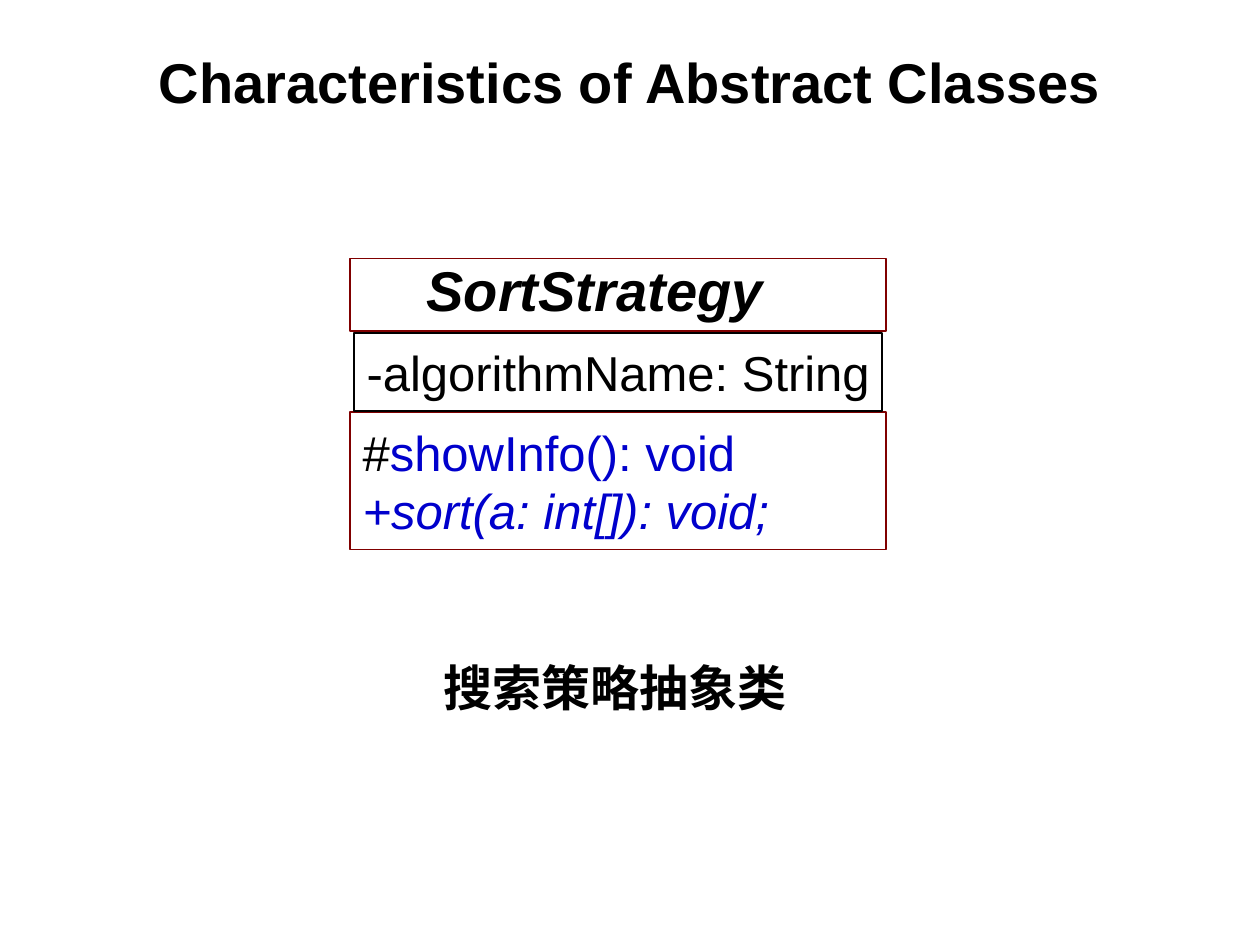
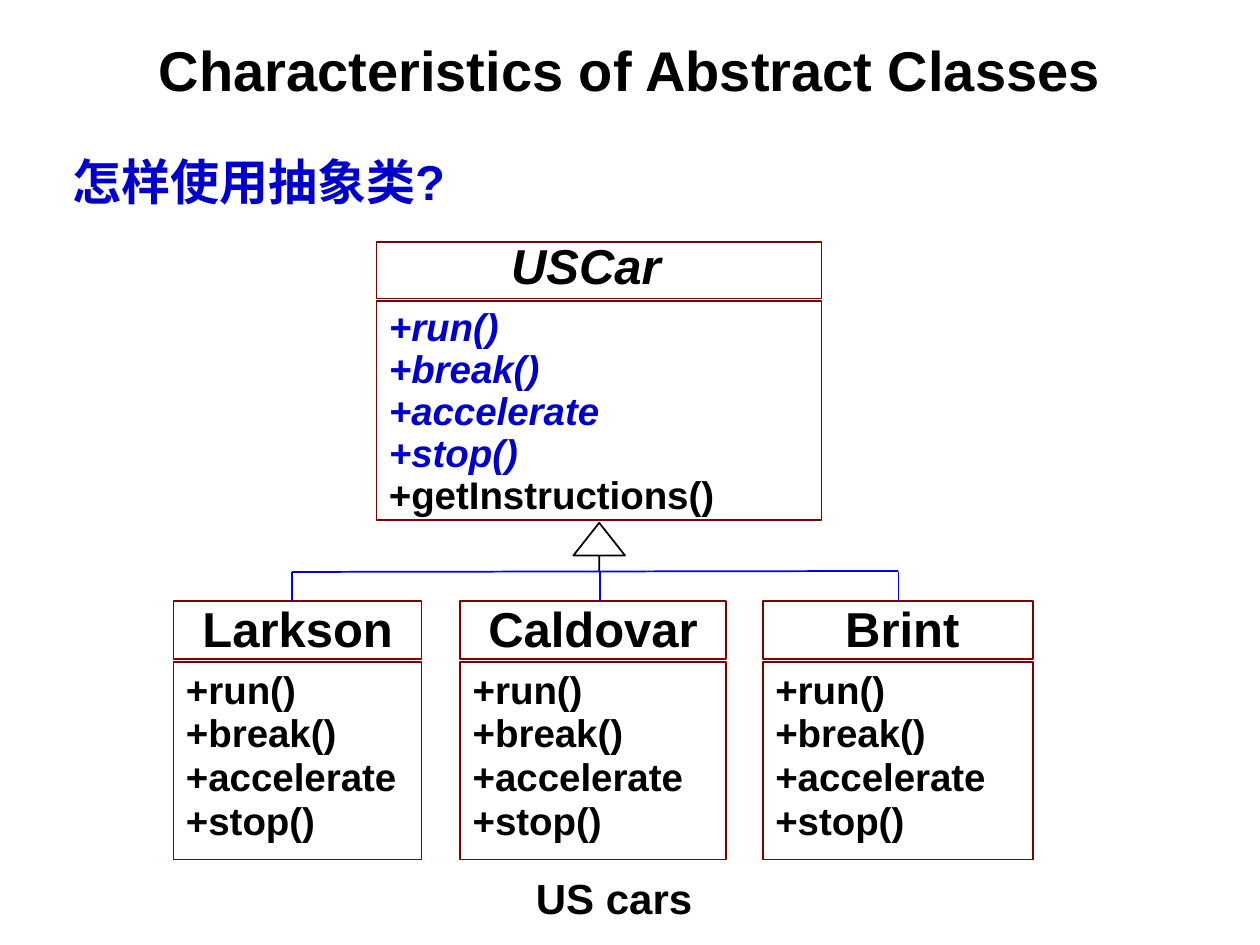
from lxml import etree
from pptx import Presentation
from pptx.dml.color import RGBColor
from pptx.enum.shapes import MSO_CONNECTOR, MSO_SHAPE
from pptx.enum.text import MSO_ANCHOR, PP_ALIGN
from pptx.oxml.ns import qn
from pptx.util import Cm, Pt

COLORS = {"black": "000000", "white": "FFFFFF", "maroon": "800000",
          "blue": "0000CC", "link": "0000FF"}
LATIN, CJK = "Arial", "Noto Sans CJK SC"
TITLE = "Characteristics of Abstract Classes"
CENTER, MIDDLE = PP_ALIGN.CENTER, MSO_ANCHOR.MIDDLE


def rgb(name):
    return RGBColor.from_string(COLORS[name])


def add_box(s, at, lines, size, line=None, bold=True, align=PP_ALIGN.LEFT,
            anchor=MSO_ANCHOR.TOP, spacing=None, wrap=True,
            insets=(0.25, 0.13, 0.25, 0.13), latin=LATIN):
    at = [Cm(v) for v in at]
    if line:
        sp = s.shapes.add_shape(MSO_SHAPE.RECTANGLE, *at)
        sp.shadow.inherit = False
        sp.fill.solid()
        sp.fill.fore_color.rgb = rgb("white")
        sp.line.color.rgb = rgb(line)
        sp.line.width = Pt(1)
    else:
        sp = s.shapes.add_textbox(*at)
    tf = sp.text_frame
    tf.word_wrap = wrap
    tf.vertical_anchor = anchor
    tf.margin_left, tf.margin_top, tf.margin_right, tf.margin_bottom = map(Cm, insets)
    for i, runs in enumerate(lines):
        p = tf.add_paragraph() if i else tf.paragraphs[0]
        p.alignment = align
        if spacing:
            p.line_spacing = spacing
        for text, color, italic in runs:
            r = p.add_run()
            r.text = text
            r.font.size = Pt(size)
            r.font.name = latin
            r.font.bold = bold
            r.font.italic = italic
            r.font.color.rgb = rgb(color)
            etree.SubElement(r.font._element, qn("a:ea")).set("typeface", CJK)


prs = Presentation()
prs.slide_width, prs.slide_height = Cm(25.4), Cm(19.05)
slides = []
for title_top in (0.76, 0.51):
    s = prs.slides.add_slide(prs.slide_layouts[6])
    add_box(s, (1.27, title_top, 22.86, 1.75), [[(TITLE, "black", False)]], 32,
            align=CENTER, anchor=MIDDLE)
    slides.append(s)
strategy, cars = slides

pad = (0.25, 0.2, 0.25, 0.2)
add_box(strategy, (7.06, 5.21, 10.8, 1.47), [[("SortStrategy", "black", True)]], 32,
        "maroon", align=CENTER, spacing=0.8, insets=(0.25, 0.2, 1.19, 0.2))
add_box(strategy, (7.06, 8.31, 10.8, 2.77),
        [[("#", "black", False), ("showInfo(): void", "blue", False)],
         [("+sort(a: int[]): void;", "blue", True)]],
        28, "maroon", bold=False, insets=pad)
add_box(strategy, (7.14, 6.71, 10.64, 1.57), [[("-algorithmName: String", "black", False)]],
        28, "black", bold=False, anchor=MIDDLE, wrap=False, insets=pad)
add_box(strategy, (7.9, 13.13, 8.99, 1.45), [[("搜索策略抽象类", "black", False)]], 28,
        align=CENTER, latin=CJK)

add_box(cars, (1.09, 3.15, 8.26, 1.22), [[("怎样使用抽象类?", "blue", False)]], 28,
        align=CENTER, spacing=0.8, wrap=False)

methods = ["+run()", "+break()", "+accelerate", "+stop()"]
add_box(cars, (7.59, 4.88, 8.97, 1.14), [[("USCar", "black", True)]], 28, "maroon",
        align=CENTER, spacing=0.8, insets=(0.1, 0.1, 0.63, 0.1))
add_box(cars, (7.59, 6.07, 8.97, 4.42),
        [[(m, "blue", True)] for m in methods] + [[("+getInstructions()", "black", False)]],
        22, "maroon", spacing=Pt(24))

bar_y, name_y = 11.53, 12.12
subclasses = [("Larkson", 3.5, 5.0, 5.89, 0), ("Caldovar", 9.28, 5.35, 12.09, 0.25),
              ("Brint", 15.38, 5.44, 18.11, 0.43)]
links = [(5.89, bar_y, 18.11, 11.51)]
for name, left, width, link_x, inset in subclasses:
    add_box(cars, (left, name_y, width, 1.17), [[(name, "black", False)]], 28, "maroon",
            align=CENTER, spacing=0.85, insets=(inset, 0.13, min(inset, 0.25), 0.13))
    add_box(cars, (left, 13.34, width, 3.99), [[(m, "black", False)] for m in methods],
            22, "maroon", spacing=Pt(25))
    links.append((link_x, bar_y, link_x, name_y))

for ends in links:
    c = cars.shapes.add_connector(MSO_CONNECTOR.STRAIGHT, *[Cm(v) for v in ends])
    c.line.color.rgb = rgb("link")
    c.line.width = Pt(1)
    etree.SubElement(c._element.spPr, qn("a:effectLst"))

arrow = cars.shapes.add_shape(MSO_SHAPE.UP_ARROW, Cm(11.56), Cm(10.54), Cm(1.04), Cm(0.97))
arrow.adjustments[0], arrow.adjustments[1] = 0, 0.68
arrow.shadow.inherit = False
arrow.fill.solid()
arrow.fill.fore_color.rgb = rgb("white")
arrow.line.color.rgb = rgb("black")
arrow.line.width = Pt(1)

add_box(cars, (3.68, 17.45, 17.4, 1.27), [[("US cars", "black", False)]], 24, align=CENTER)

prs.save("out.pptx")
